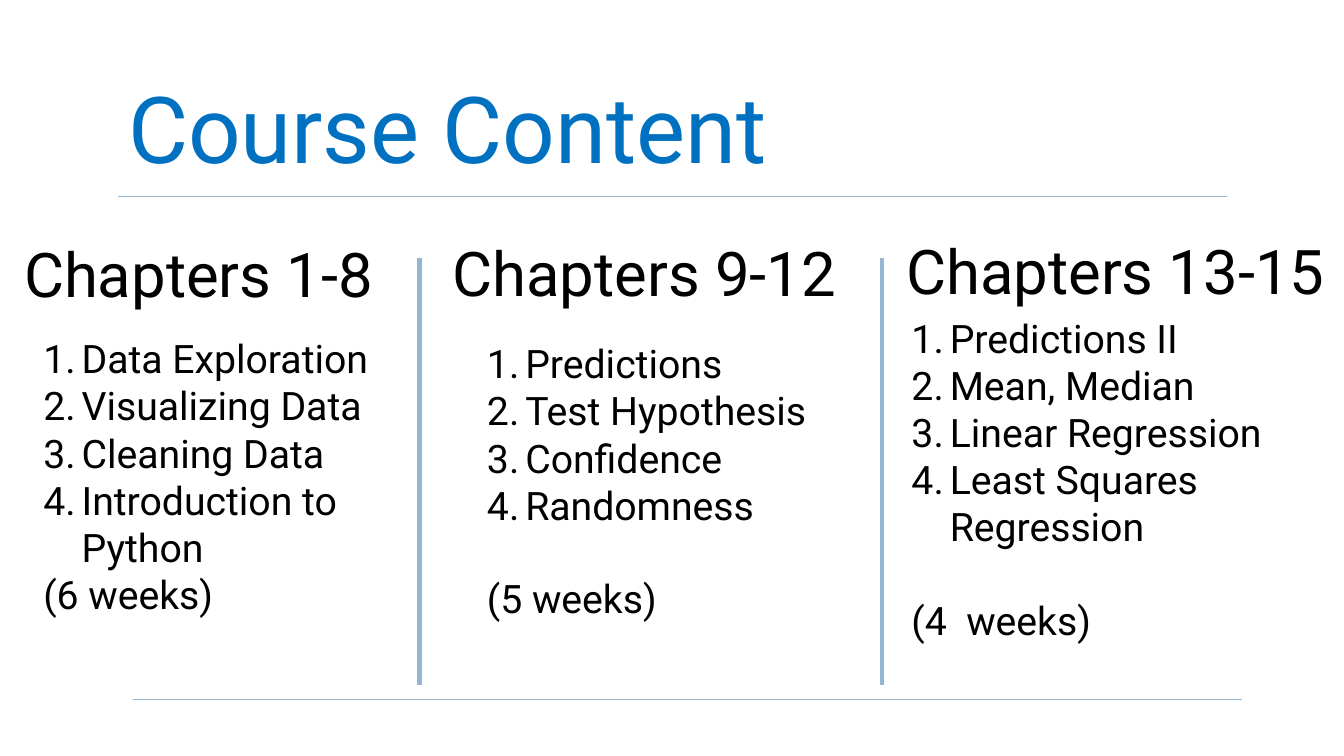
import pptx
import pptx.dml.color
import pptx.enum.shapes
import pptx.enum.text
import pptx.oxml.ns
import pptx.util
from lxml import etree

PX = 9144  # 100 px to the inch
FONT = "Roboto"
BLUE = pptx.dml.color.RGBColor(0x00, 0x70, 0xC0)
RULE = pptx.dml.color.RGBColor(0x94, 0xB6, 0xD2)
BLACK = pptx.dml.color.RGBColor(0, 0, 0)
WHITE = pptx.dml.color.RGBColor(0xFF, 0xFF, 0xFF)
LIST_SIZE = 28
LINE_GAP = 33
INDENT = 38

# heading, heading box, topics, list box, duration, gap before duration in points
COLUMNS = [
    ("Chapters 1-8", (14, 229, 402, 84),
     ["Data Exploration", "Visualizing Data", "Cleaning Data", "Introduction to Python"],
     (33, 327, 368, 293), "(6 weeks)", 0),
    ("Chapters 9-12", (439, 228, 430, 84),
     ["Predictions", "Test Hypothesis", "Confidence", "Randomness"],
     (473, 332, 368, 293), "(5 weeks)", LINE_GAP),
    ("Chapters 13-15", (889, 226, 444, 84),
     ["Predictions II", "Mean, Median", "Linear Regression", "Least Squares Regression"],
     (894, 307, 368, 434), "(4  weeks)", LINE_GAP),
]


def place(shape, box):
    shape.left, shape.top, shape.width, shape.height = (side * PX for side in box)


def prepare_text(shape, anchor):
    frame = shape.text_frame
    frame.word_wrap = True
    frame.auto_size = pptx.enum.text.MSO_AUTO_SIZE.NONE
    frame.vertical_anchor = anchor
    return frame


def add_span(para, text, size, color):
    span = para.add_run()
    span.text = text
    span.font.name = FONT
    span.font.size = pptx.util.Pt(size)
    span.font.bold = False
    span.font.color.rgb = color


def set_bullet(para, numbered):
    """Number the paragraph with a hanging indent, or clear its bullet."""
    props = para._p.get_or_add_pPr()
    props.set("marL", str(INDENT * PX if numbered else 0))
    props.set("indent", str(-INDENT * PX if numbered else 0))
    if numbered:
        font = etree.SubElement(props, pptx.oxml.ns.qn("a:buFont"))
        font.set("typeface", FONT)
        bullet = etree.SubElement(props, pptx.oxml.ns.qn("a:buAutoNum"))
        bullet.set("type", "arabicPeriod")
    else:
        etree.SubElement(props, pptx.oxml.ns.qn("a:buNone"))


def fill_title(title, box):
    place(title, box)
    title.fill.solid()
    title.fill.fore_color.rgb = WHITE
    para = prepare_text(title, pptx.enum.text.MSO_ANCHOR.MIDDLE).paragraphs[0]
    para.alignment = pptx.enum.text.PP_ALIGN.LEFT
    para.line_spacing = 0.9
    add_span(para, "Course Content", 66, BLUE)


def add_heading(page, text, box):
    left, top, width, height = (side * PX for side in box)
    heading = page.shapes.add_textbox(left, top, width, height)
    frame = prepare_text(heading, pptx.enum.text.MSO_ANCHOR.TOP)
    add_span(frame.paragraphs[0], text, 44, BLACK)


def fill_list(body, box, topics, duration, gap):
    place(body, box)
    frame = prepare_text(body, pptx.enum.text.MSO_ANCHOR.TOP)
    for number, text in enumerate(topics + [duration]):
        para = frame.add_paragraph() if number else frame.paragraphs[0]
        is_topic = number < len(topics)
        para.line_spacing = 1.0
        para.space_before = pptx.util.Pt(0 if is_topic else gap)
        set_bullet(para, is_topic)
        add_span(para, text, LIST_SIZE, BLACK)


def add_rule(page, start, end, weight):
    rule = page.shapes.add_connector(
        pptx.enum.shapes.MSO_CONNECTOR.STRAIGHT,
        *(place_px * PX for place_px in start + end))
    rule.line.color.rgb = RULE
    rule.line.width = pptx.util.Pt(weight)
    etree.SubElement(rule._element.spPr, pptx.oxml.ns.qn("a:effectLst"))


def build_page(deck):
    comparison_layout = deck.slide_layouts[4]
    page = deck.slides.add_slide(comparison_layout)
    fill_title(page.shapes.title, (117, 70, 1100, 125))
    *bodies, spare = [holder for holder in page.placeholders
                      if holder.placeholder_format.idx > 0]
    spare._element.getparent().remove(spare._element)

    for left, top in ((117, 195), (132, 694)):
        add_rule(page, (left, top), (left + 1100, top), 0.5)
    for left in (416, 875):
        add_rule(page, (left, 256), (left, 680), 3)
    for body, column in zip(bodies, COLUMNS):
        heading, heading_box, topics, list_box, duration, gap = column
        add_heading(page, heading, heading_box)
        fill_list(body, list_box, topics, duration, gap)


def main():
    deck = pptx.Presentation()
    deck.slide_width = 1333 * PX
    deck.slide_height = 750 * PX
    build_page(deck)
    deck.save("out.pptx")


if __name__ == "__main__":
    main()
